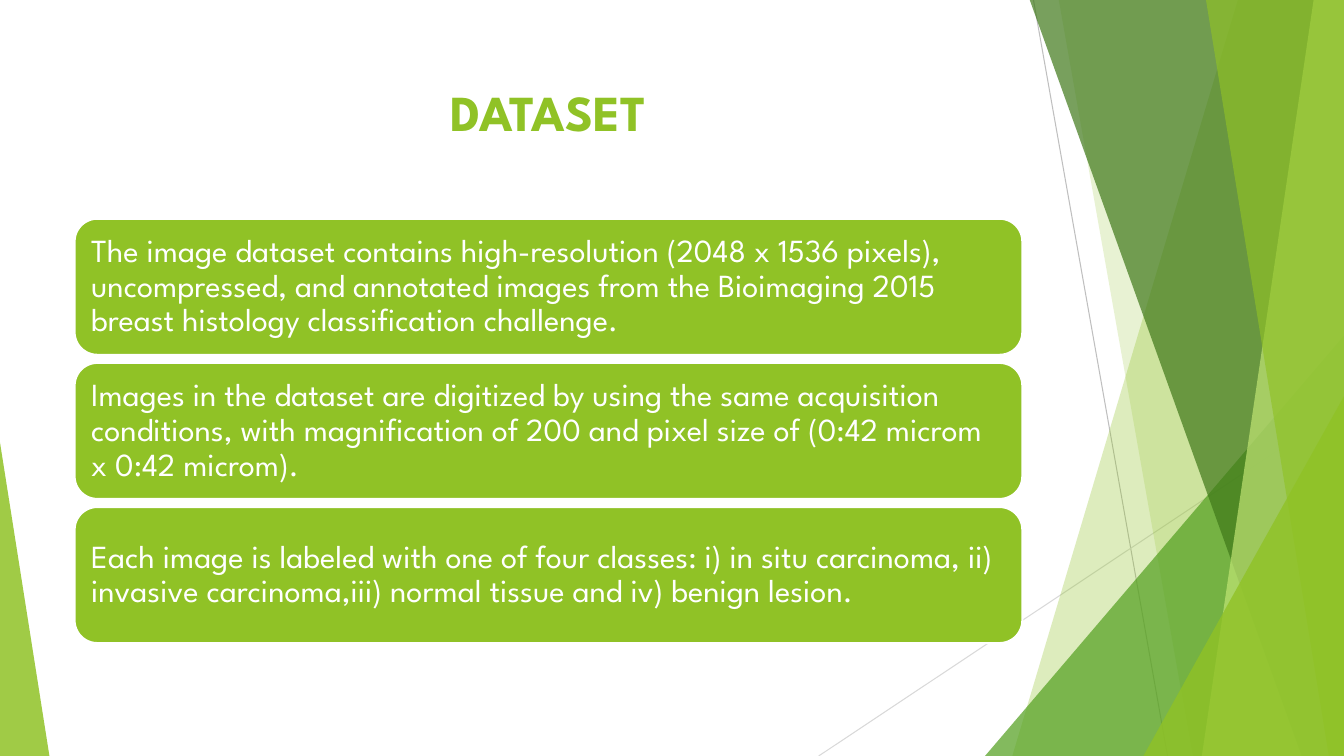
from dataclasses import dataclass

from lxml import etree
from pptx import Presentation
from pptx.dml.color import RGBColor
from pptx.enum.shapes import MSO_CONNECTOR, MSO_SHAPE
from pptx.enum.text import MSO_ANCHOR, PP_ALIGN
from pptx.oxml.ns import qn
from pptx.util import Inches, Pt

STRAIGHT = MSO_CONNECTOR.STRAIGHT
TRIANGLE = MSO_SHAPE.RIGHT_TRIANGLE
ISOSCELES = MSO_SHAPE.ISOSCELES_TRIANGLE
ROUNDED = MSO_SHAPE.ROUNDED_RECTANGLE
MIDDLE = MSO_ANCHOR.MIDDLE
LEFT = PP_ALIGN.LEFT
CENTER = PP_ALIGN.CENTER

FONT = "League Spartan"
GREEN = "90C226"
WHITE = "FFFFFF"
WIDTH, HEIGHT = 13.33, 7.5
BAND_TOP = -0.01
CONTENT_LEFT, CONTENT_WIDTH = 0.74, 9.4
CARD_TOP, CARD_HEIGHT, CARD_PITCH = 2.17, 1.35, 1.43


@dataclass
class Line:
    start: tuple[float, float]
    end: tuple[float, float]
    color: str


@dataclass
class Band:
    top_left: float
    bottom_left: float
    color: str
    opacity: int


@dataclass
class Wedge:
    left: float
    top: float
    width: float
    apex: float
    color: str
    opacity: int


LINES = [
    Line((10.25, 0), (11.58, HEIGHT), "BFBFBF"),
    Line((WIDTH, 4.03), (8.12, HEIGHT), "D9D9D9"),
]
FACETS = [
    Band(12.28, 10.04, GREEN, 30),
    Band(10.5, 11.83, GREEN, 20),
    Wedge(9.77, 3.33, 3.56, 1, "54A021", 72),
    Band(10.21, 12.91, "3F7819", 70),
    Band(13.03, 11.92, "C0E474", 70),
    Band(11.96, 13.18, GREEN, 65),
    Wedge(11.34, 3.93, 1.99, 1, GREEN, 80),
    Wedge(0, 4.39, 0.49, 0, GREEN, 85),
]
CARDS = [
    "The image dataset contains high-resolution (2048 x 1536 pixels), "
    "uncompressed, and annotated images from the Bioimaging 2015 "
    "breast histology classification challenge.",
    "Images in the dataset are digitized by using the same acquisition "
    "conditions, with magnification of 200 and pixel size of "
    "(0:42 microm x 0:42 microm).",
    "Each image is labeled with one of four classes: i) in situ carcinoma, "
    "ii) invasive carcinoma,iii) normal tissue and iv) benign lesion.",
]


def paint(color_format, color: str) -> None:
    color_format.rgb = RGBColor.from_string(color)


def fill_shape(shape, color: str, opacity: int = 100) -> None:
    shape.shadow.inherit = False
    shape.fill.solid()
    paint(shape.fill.fore_color, color)
    if opacity < 100:
        tone = shape.fill._xPr.find(qn("a:solidFill"))[0]
        etree.SubElement(tone, qn("a:alpha"), val=str(opacity * 1000))


def add_line(page, line: Line) -> None:
    points = [Inches(value) for value in (*line.start, *line.end)]
    connector = page.shapes.add_connector(STRAIGHT, *points)
    paint(connector.line.color, line.color)
    connector.line.width = Pt(0.75)
    etree.SubElement(connector._element.spPr, qn("a:effectLst"))


def add_facet(page, facet: Band | Wedge) -> None:
    if isinstance(facet, Band):
        builder = page.shapes.build_freeform(
            Inches(facet.top_left), Inches(BAND_TOP))
        corners = [(WIDTH, BAND_TOP), (WIDTH, HEIGHT),
                   (facet.bottom_left, HEIGHT)]
        builder.add_line_segments([(Inches(x), Inches(y)) for x, y in corners])
        shape = builder.convert_to_shape()
    else:
        shape = page.shapes.add_shape(
            ISOSCELES, Inches(facet.left), Inches(facet.top),
            Inches(facet.width), Inches(HEIGHT - facet.top))
        shape.adjustments[0] = facet.apex
    fill_shape(shape, facet.color, facet.opacity)
    shape.line.fill.background()


def write(shape, text: str, size: int, color: str, align: PP_ALIGN,
          bold: bool = False) -> None:
    frame = shape.text_frame
    frame.word_wrap = True
    frame.vertical_anchor = MIDDLE
    para = frame.paragraphs[0]
    para.alignment = align
    para.line_spacing = 0.9 if align == LEFT else 1.0
    span = para.add_run()
    span.text = text
    span.font.name = FONT
    span.font.size = Pt(size)
    span.font.bold = bold
    paint(span.font.color, color)


def add_card(page, index: int, text: str) -> None:
    card = page.shapes.add_shape(
        ROUNDED, Inches(CONTENT_LEFT), Inches(CARD_TOP + index * CARD_PITCH),
        Inches(CONTENT_WIDTH), Inches(CARD_HEIGHT))
    fill_shape(card, GREEN)
    paint(card.line.color, WHITE)
    card.line.width = Pt(1.5)
    frame = card.text_frame
    frame.margin_left = frame.margin_right = Inches(0.1)
    frame.margin_top = frame.margin_bottom = Inches(0.1)
    write(card, text, 23, WHITE, LEFT)


def add_title(page, text: str) -> None:
    title = page.shapes.title
    title.left, title.top = Inches(CONTENT_LEFT), Inches(0.67)
    title.width, title.height = Inches(CONTENT_WIDTH), Inches(0.86)
    write(title, text, 36, GREEN, CENTER, bold=True)


def main() -> None:
    deck = Presentation()
    deck.slide_width, deck.slide_height = Inches(WIDTH), Inches(HEIGHT)
    page = deck.slides.add_slide(deck.slide_layouts.get_by_name("Title Only"))
    for line in LINES:
        add_line(page, line)
    for facet in FACETS:
        add_facet(page, facet)
    add_title(page, "DATASET")
    for index, text in enumerate(CARDS):
        add_card(page, index, text)
    deck.save("out.pptx")


if __name__ == "__main__":
    main()
